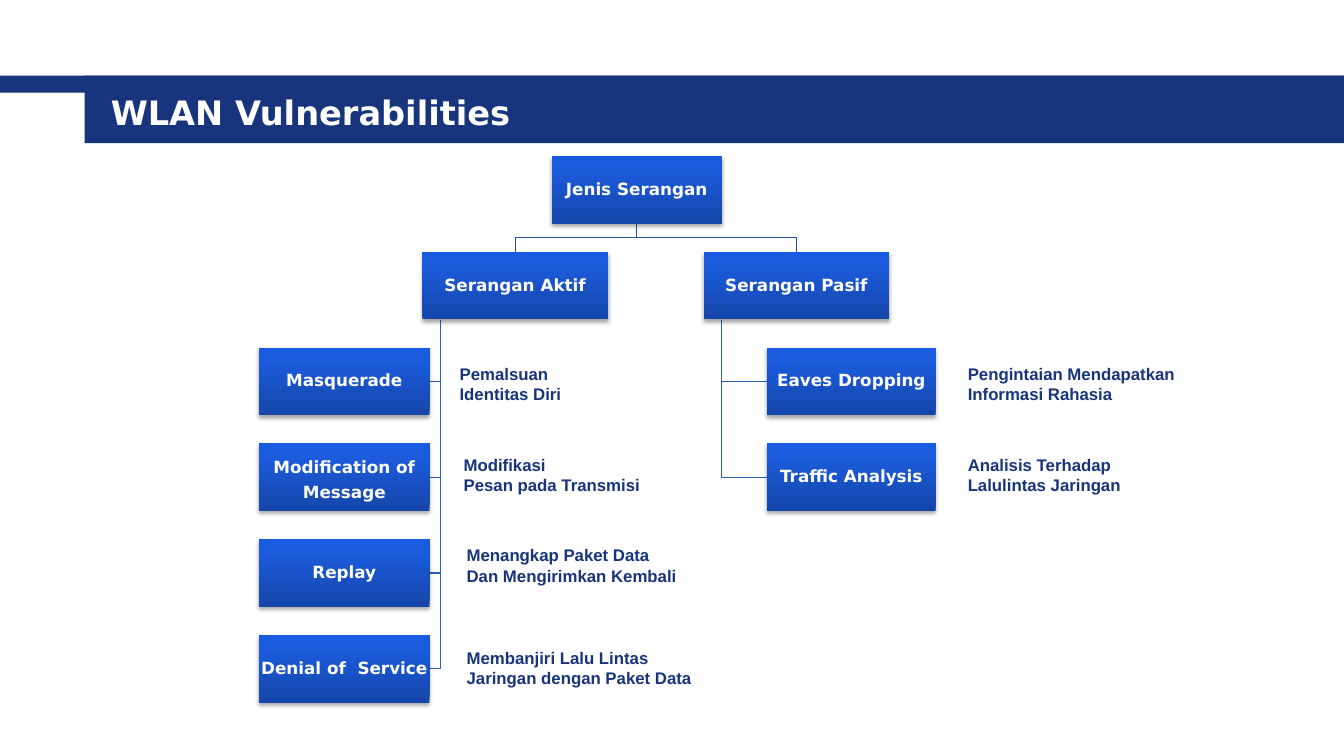
from copy import deepcopy

from lxml.etree import SubElement
from pptx import Presentation
from pptx.dml.color import RGBColor
from pptx.enum.shapes import MSO_SHAPE
from pptx.enum.text import MSO_ANCHOR, MSO_AUTO_SIZE, PP_ALIGN
from pptx.oxml.ns import qn
from pptx.util import Inches, Pt

NAVY = RGBColor(0x17, 0x34, 0x7D)
WHITE = RGBColor(0xFF, 0xFF, 0xFF)
ROOT_LINE = RGBColor(0x29, 0x52, 0xA3)
BRANCH_LINE = RGBColor(0x2E, 0x5D, 0xB9)
BOX_GRADIENT = [
    (0, RGBColor(0x15, 0x46, 0xA9)),
    (0.8, RGBColor(0x1B, 0x5B, 0xDC)),
    (1, RGBColor(0x18, 0x5B, 0xE1)),
]

HEADING_FONT = "DejaVu Sans"
BODY_FONT = "Arial"

FIRST_TOP = 1.55
LEVEL_STEP = 0.95
BOX_HEIGHT = 0.67
PARENT_WIDTH = 1.84
ROOT_LEFT, ROOT_WIDTH = 5.47, 1.69
ACTIVE_LEFT, PASSIVE_LEFT = 4.19, 6.98
ACTIVE_CHILD_LEFT, ACTIVE_CHILD_WIDTH = 2.57, 1.69
PASSIVE_CHILD_LEFT, PASSIVE_CHILD_WIDTH = 7.61, 1.67
STEM_INSET = 0.18

ACTIVE_ATTACKS = ["Masquerade", "Modification of Message", "Replay", "Denial of  Service"]
PASSIVE_ATTACKS = ["Eaves Dropping", "Traffic Analysis"]
DESCRIPTIONS = [
    (4.46, 3.56, 1.22, ["Pemalsuan", "Identitas Diri"]),
    (4.5, 4.46, 1.97, ["Modifikasi", "Pesan pada Transmisi"]),
    (4.53, 5.36, 2.35, ["Menangkap Paket Data", "Dan Mengirimkan Kembali"]),
    (4.53, 6.38, 2.45, ["Membanjiri Lalu Lintas", "Jaringan dengan Paket Data"]),
    (9.5, 3.56, 2.28, ["Pengintaian Mendapatkan", "Informasi Rahasia"]),
    (9.5, 4.46, 1.78, ["Analisis Terhadap", "Lalulintas Jaringan"]),
]


def level_top(level):
    return FIRST_TOP + LEVEL_STEP * level


def add_run(paragraph, text, size, font_name, color):
    run = paragraph.add_run()
    run.text = text
    run.font.size = Pt(size)
    run.font.name = font_name
    run.font.bold = True
    run.font.color.rgb = color


def add_rectangle(slide, left, top, width, height):
    shape = slide.shapes.add_shape(
        MSO_SHAPE.RECTANGLE, Inches(left), Inches(top), Inches(width), Inches(height)
    )
    shape.shadow.inherit = False
    shape.line.fill.background()
    return shape


def add_band(slide, left, top, width, height):
    band = add_rectangle(slide, left, top, width, height)
    band.fill.solid()
    band.fill.fore_color.rgb = NAVY


def apply_gradient(shape):
    shape.fill.gradient()
    shape.fill.gradient_angle = 90
    stop_list = shape._element.spPr.find(".//" + qn("a:gsLst"))
    stop_list.append(deepcopy(stop_list[0]))
    for stop, (position, color) in zip(shape.fill.gradient_stops, BOX_GRADIENT):
        stop.position = position
        stop.color.rgb = color


def apply_shadow(shape):
    effects = shape._element.spPr.find(qn("a:effectLst"))
    shadow = SubElement(
        effects,
        qn("a:outerShdw"),
        blurRad=str(Pt(3.1)),
        dist=str(Pt(1.8)),
        dir="5400000",
        rotWithShape="0",
    )
    color = SubElement(shadow, qn("a:srgbClr"), val="000000")
    SubElement(color, qn("a:alpha"), val="35000")


def add_box(slide, text, left, level, width, line_spacing=0.9):
    box = add_rectangle(slide, left, level_top(level), width, BOX_HEIGHT)
    apply_gradient(box)
    apply_shadow(box)
    frame = box.text_frame
    frame.word_wrap = True
    frame.vertical_anchor = MSO_ANCHOR.MIDDLE
    frame.margin_left = frame.margin_right = Inches(0.01)
    frame.margin_top = frame.margin_bottom = Inches(0.01)
    paragraph = frame.paragraphs[0]
    paragraph.alignment = PP_ALIGN.CENTER
    paragraph.line_spacing = line_spacing
    add_run(paragraph, text, 12, HEADING_FONT, WHITE)


def add_elbow(slide, points, color):
    start, *rest = [(Inches(x), Inches(y)) for x, y in points]
    builder = slide.shapes.build_freeform(*start)
    builder.add_line_segments(rest, close=False)
    elbow = builder.convert_to_shape()
    elbow.shadow.inherit = False
    elbow.fill.background()
    elbow.line.color.rgb = color
    elbow.line.width = Pt(0.75)


def add_root_links(slide):
    root_x = ROOT_LEFT + ROOT_WIDTH / 2
    root_bottom = level_top(0) + BOX_HEIGHT
    parent_top = level_top(1)
    middle = (root_bottom + parent_top) / 2
    for left in (ACTIVE_LEFT, PASSIVE_LEFT):
        parent_x = left + PARENT_WIDTH / 2
        points = [(root_x, root_bottom), (root_x, middle), (parent_x, middle), (parent_x, parent_top)]
        add_elbow(slide, points, ROOT_LINE)


def add_branch(slide, parent, parent_left, children, child_left, child_width, link_x):
    stem_x = parent_left + STEM_INSET
    stem_top = level_top(1) + BOX_HEIGHT
    for level in range(2, 2 + len(children)):
        center = level_top(level) + BOX_HEIGHT / 2
        add_elbow(slide, [(stem_x, stem_top), (stem_x, center), (link_x, center)], BRANCH_LINE)
    add_box(slide, parent, parent_left, 1, PARENT_WIDTH)
    for level, child in enumerate(children, 2):
        line_spacing = 1.2 if child == "Modification of Message" else 0.9
        add_box(slide, child, child_left, level, child_width, line_spacing)


def add_description(slide, left, top, width, lines):
    box = slide.shapes.add_textbox(Inches(left), Inches(top), Inches(width), Inches(0.5))
    frame = box.text_frame
    frame.word_wrap = False
    frame.auto_size = MSO_AUTO_SIZE.SHAPE_TO_FIT_TEXT
    for index, line in enumerate(lines):
        paragraph = frame.add_paragraph() if index else frame.paragraphs[0]
        add_run(paragraph, line, 12, BODY_FONT, NAVY)


def add_title(slide, text):
    box = slide.shapes.add_textbox(Inches(1), Inches(0.8), Inches(12.05), Inches(0.62))
    box.text_frame.word_wrap = True
    box.text_frame.vertical_anchor = MSO_ANCHOR.MIDDLE
    add_run(box.text_frame.paragraphs[0], text, 24, HEADING_FONT, WHITE)


def main():
    presentation = Presentation()
    presentation.slide_width = Inches(13.33)
    presentation.slide_height = Inches(7.5)
    slide = presentation.slides.add_slide(presentation.slide_layouts[6])

    add_band(slide, 0, 0.75, 13.33, 0.17)
    add_band(slide, 0.84, 0.75, 12.49, 0.67)
    add_title(slide, "WLAN Vulnerabilities")

    add_root_links(slide)
    add_box(slide, "Jenis Serangan", ROOT_LEFT, 0, ROOT_WIDTH)
    add_branch(
        slide, "Serangan Aktif", ACTIVE_LEFT, ACTIVE_ATTACKS,
        ACTIVE_CHILD_LEFT, ACTIVE_CHILD_WIDTH, ACTIVE_CHILD_LEFT + ACTIVE_CHILD_WIDTH,
    )
    add_branch(
        slide, "Serangan Pasif", PASSIVE_LEFT, PASSIVE_ATTACKS,
        PASSIVE_CHILD_LEFT, PASSIVE_CHILD_WIDTH, PASSIVE_CHILD_LEFT,
    )
    for description in DESCRIPTIONS:
        add_description(slide, *description)

    presentation.save("out.pptx")


if __name__ == "__main__":
    main()
